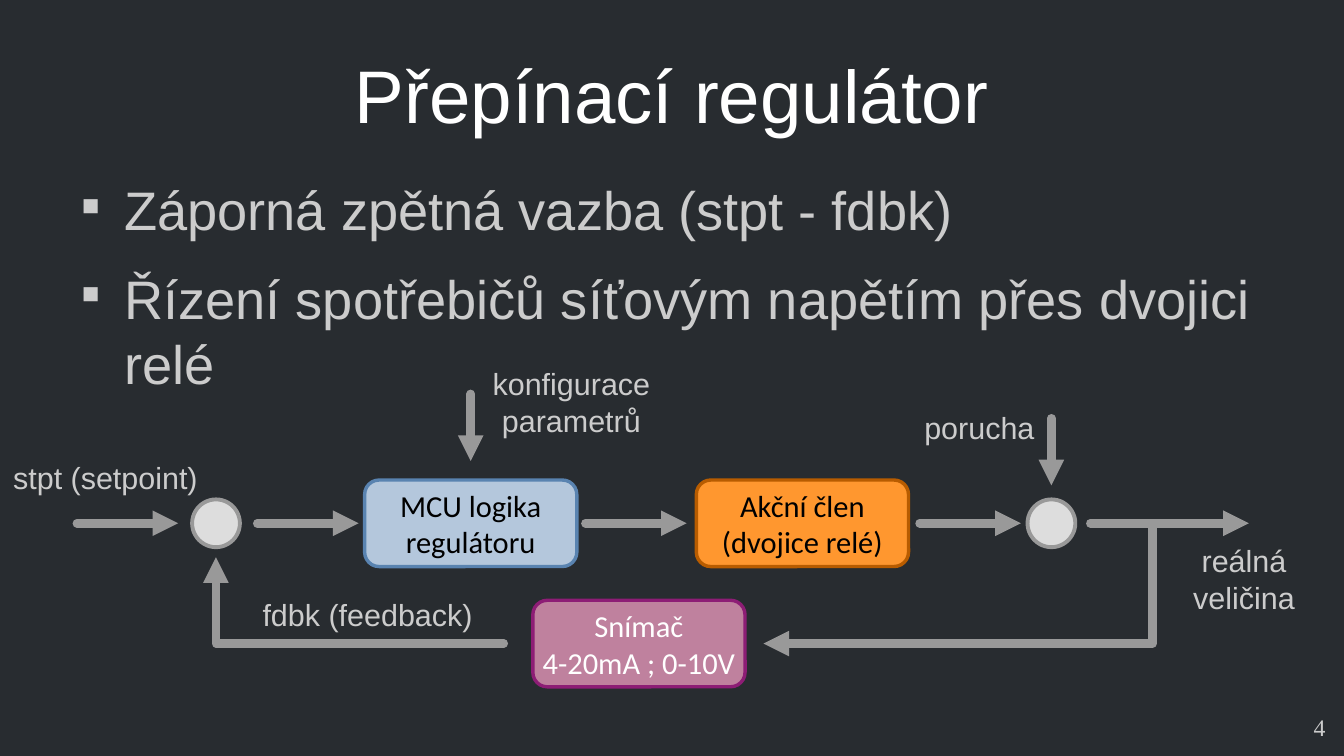
from dataclasses import dataclass

from lxml.etree import SubElement
from pptx import Presentation
from pptx.dml.color import RGBColor
from pptx.enum.shapes import MSO_CONNECTOR as Connector, MSO_SHAPE as Shape
from pptx.enum.text import MSO_ANCHOR as Anchor, MSO_AUTO_SIZE as AutoSize, PP_ALIGN as Align
from pptx.oxml.ns import qn
from pptx.util import Pt

COLOURS = {
    "background": "282C30", "title": "FFFFFF", "text": "CCCCCC", "arrow": "999999",
    "node": "DDDDDD", "black": "000000", "white": "FFFFFF",
    "logic": "B4C7DC", "logic_edge": "5983B0",
    "actuator": "FF972F", "actuator_edge": "B85C00",
    "sensor": "BF819E", "sensor_edge": "8D1D75",
}
SIGNAL_Y, RETURN_Y = 309, 380
SUM_X, DISTURBANCE_X, TAP_X = 127.5, 620.7, 680.4
BLOCK_WIDTH, BLOCK_HEIGHT = 125.3, 51.1
NODE_SIZE = 28.2
STEP = 59.8


@dataclass
class Block:
    text: str
    left: float
    middle: float
    name: str
    ink: str


@dataclass
class Label:
    text: str
    left: float
    top: float
    width: float
    height: float


@dataclass
class Arrow:
    points: list[tuple[float, float]]


BLOCKS = [
    Block("Snímač\n4-20mA ; 0-10V", 314.6, RETURN_Y, "sensor", "white"),
    Block("Akční člen\n(dvojice relé)", 411.1, SIGNAL_Y, "actuator", "black"),
    Block("MCU logika\nregulátoru", 215.3, SIGNAL_Y, "logic", "black"),
]
LABELS = [
    Label("porucha", 535.7, 238.3, 85, 28.1),
    Label("stpt (setpoint)", 0, 260.6, 124.6, 42.5),
    Label("fdbk (feedback)", 141.8, 342.7, 150.5, 39.6),
    Label("reálná veličina", 691.9, 318.2, 85, 47.5),
    Label("konfigurace parametrů", 263.5, 209.5, 147.6, 55.4),
]
ARROWS = [
    *[Arrow([(x, SIGNAL_Y), (x + STEP, SIGNAL_Y)]) for x in (45.4, 151.9, 345.6, 542.9)],
    Arrow([(643.7, SIGNAL_Y), (737.3, SIGNAL_Y)]),
    *[Arrow([(x, y), (x, y + 39.6)]) for x, y in ((DISTURBANCE_X, 247), (277.9, 232.6))],
    Arrow([(TAP_X, SIGNAL_Y), (TAP_X, RETURN_Y), (450.7, RETURN_Y)]),
    Arrow([(297.4, RETURN_Y), (SUM_X, RETURN_Y), (SUM_X, 329)]),
]


def colour(name: str) -> RGBColor:
    return RGBColor.from_string(COLOURS[name])


def add_bullet(para) -> None:
    props = para._p.get_or_add_pPr()
    props.set("marL", str(Pt(33.8)))
    props.set("indent", str(-Pt(25.2)))
    SubElement(SubElement(props, qn("a:buClr")), qn("a:srgbClr"), val=COLOURS["text"])
    SubElement(props, qn("a:buSzPct"), val="45000")
    SubElement(props, qn("a:buChar"), char="■")


def write_text(frame, text: str, *, size: float = 18, font: str = "Arial", ink: str = "text",
               align=Align.CENTER, anchor=Anchor.MIDDLE, wrap: bool = True,
               bullet: bool = False, gap: float = 0) -> None:
    frame.auto_size = AutoSize.NONE
    frame.word_wrap = wrap
    frame.vertical_anchor = anchor
    frame.margin_left = frame.margin_right = frame.margin_top = frame.margin_bottom = 0
    for index, line in enumerate(text.split("\n")):
        para = frame.add_paragraph() if index else frame.paragraphs[0]
        if bullet:
            add_bullet(para)
        para.alignment = align
        para.space_before = Pt(gap if index else 0)
        span = para.add_run()
        span.text = line
        span.font.size = Pt(size)
        span.font.name = font
        span.font.color.rgb = colour(ink)


def add_text(page, label: Label, **style) -> None:
    box = page.shapes.add_textbox(Pt(label.left), Pt(label.top), Pt(label.width), Pt(label.height))
    write_text(box.text_frame, label.text, **style)


def paint(shape, fill: str, edge: str, width: float) -> None:
    shape.shadow.inherit = False
    shape.fill.solid()
    shape.fill.fore_color.rgb = colour(fill)
    shape.line.color.rgb = colour(edge)
    shape.line.width = Pt(width)


def draw_block(page, block: Block) -> None:
    shape = page.shapes.add_shape(
        Shape.ROUNDED_RECTANGLE, Pt(block.left), Pt(block.middle - BLOCK_HEIGHT / 2),
        Pt(BLOCK_WIDTH), Pt(BLOCK_HEIGHT))
    shape.adjustments[0] = 0.167
    paint(shape, block.name, f"{block.name}_edge", 2)
    write_text(shape.text_frame, block.text, font="Calibri", ink=block.ink, wrap=False)


def draw_node(page, x: float) -> None:
    node = page.shapes.add_shape(Shape.OVAL, Pt(x - NODE_SIZE / 2), Pt(SIGNAL_Y - NODE_SIZE / 2),
                                 Pt(NODE_SIZE), Pt(NODE_SIZE))
    paint(node, "node", "arrow", 2.3)


def draw_arrow(page, arrow: Arrow) -> None:
    start, *rest = [(Pt(x), Pt(y)) for x, y in arrow.points]
    if len(rest) == 1:
        shape = page.shapes.add_connector(Connector.STRAIGHT, *start, *rest[0])
    else:
        builder = page.shapes.build_freeform(*start)
        builder.add_line_segments(rest, close=False)
        shape = builder.convert_to_shape()
        shape.fill.background()
    shape.line.color.rgb = colour("arrow")
    shape.line.width = Pt(5.05)
    line = shape.line._get_or_add_ln()
    line.set("cap", "rnd")
    SubElement(line, qn("a:round"))
    SubElement(line, qn("a:tailEnd"), type="triangle")
    SubElement(shape._element.spPr, qn("a:effectLst"))


def main() -> None:
    deck = Presentation()
    deck.slide_width, deck.slide_height = Pt(793.44), Pt(446.4)
    page = deck.slides.add_slide(deck.slide_layouts[5])
    page.background.fill.solid()
    page.background.fill.fore_color.rgb = colour("background")

    title = page.shapes.title
    title.left, title.top, title.width, title.height = Pt(39.6), Pt(18), Pt(714.24), Pt(74.9)
    write_text(title.text_frame, "Přepínací regulátor", size=44, ink="title")

    points = Label("Záporná zpětná vazba (stpt - fdbk)\n"
                   "Řízení spotřebičů síťovým napětím přes dvojici relé", 39.6, 104.4, 714.24, 136.8)
    add_text(page, points, size=32, align=Align.LEFT, anchor=Anchor.TOP, bullet=True, gap=14.1)

    for block in BLOCKS:
        draw_block(page, block)
    for arrow in ARROWS:
        draw_arrow(page, arrow)
    for x in (SUM_X, DISTURBANCE_X):
        draw_node(page, x)
    for label in LABELS:
        add_text(page, label)
    add_text(page, Label("4", 597.6, 421.2, 185, 25), size=14, font="Times New Roman",
             align=Align.RIGHT, anchor=Anchor.TOP)
    deck.save("out.pptx")


if __name__ == "__main__":
    main()
